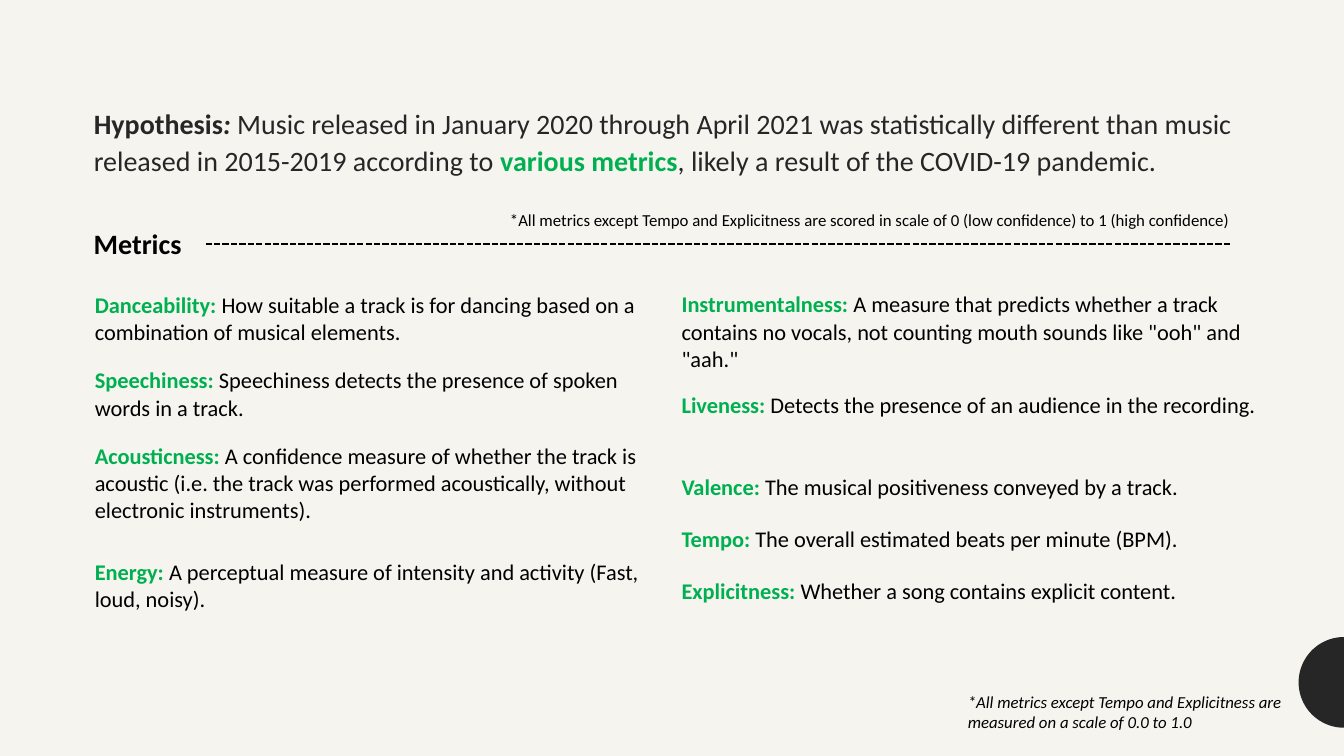
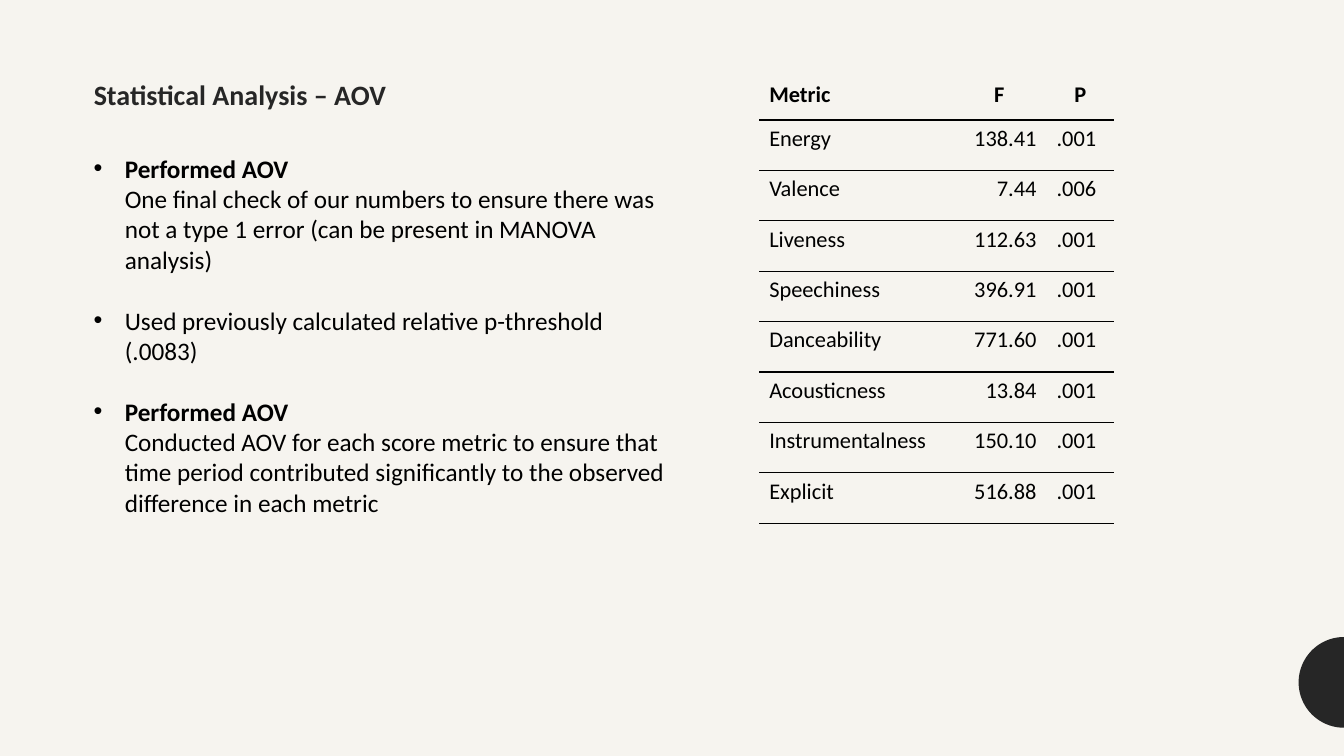
import math
from dataclasses import dataclass
from typing import NamedTuple, Optional, Sequence

from lxml import etree
from pptx import Presentation
from pptx import util as u
from pptx.dml.color import RGBColor
from pptx.enum import dml, text
from pptx.oxml import ns

Inches, Pt = u.Inches, u.Pt
LEFT, CENTER, RIGHT = text.PP_ALIGN.LEFT, text.PP_ALIGN.CENTER, text.PP_ALIGN.RIGHT
TOP, MIDDLE = text.MSO_ANCHOR.TOP, text.MSO_ANCHOR.MIDDLE
PLAIN_TABLE_STYLE = "{2D5ABB26-0587-4C30-8999-92F81FD0307C}"  # no fill, no grid


@dataclass(frozen=True)
class Theme:
    font: str = "Calibri"
    paper: RGBColor = RGBColor(0xF6, 0xF4, 0xEF)
    ink: RGBColor = RGBColor(0, 0, 0)
    charcoal: RGBColor = RGBColor(0x26, 0x26, 0x26)
    green: RGBColor = RGBColor(0x00, 0xB0, 0x50)
    heading: int = 20
    body: int = 18
    table: int = 16
    note: int = 12


THEME = Theme()


class Span(NamedTuple):
    words: str
    bold: Optional[bool] = None
    italic: Optional[bool] = None
    color: Optional[RGBColor] = None


class Box(NamedTuple):
    left: float
    top: float
    width: float
    height: float

    def lengths(self) -> list:
        return [Inches(side) for side in self]


class Metric(NamedTuple):
    name: str
    meaning: str


class MetricColumn(NamedTuple):
    box: Box
    anchor: text.MSO_ANCHOR
    row_heights: Sequence[float]
    metrics: Sequence[Metric]


class Bullet(NamedTuple):
    heading: str
    detail: str


class Result(NamedTuple):
    metric: str
    f: str
    p: str


# Content
HYPOTHESIS = [
    Span("Hypothesis", bold=True),
    Span(": ", bold=True, italic=True),
    Span("Music released in January 2020 through April 2021 was statistically different "
         "than music released in 2015-2019 according to "),
    Span("various metrics", bold=True, color=THEME.green),
    Span(", likely a result of the COVID-19 pandemic."),
]
METRIC_COLUMNS = [
    MetricColumn(Box(0.94, 2.79, 5.5, 3.54), MIDDLE, [0.75, 0.75, 1.02, 1.02], [
        Metric("Danceability", "How suitable a track is for dancing based on a combination "
               "of musical elements."),
        Metric("Speechiness", "Speechiness detects the presence of spoken words in a track."),
        Metric("Acousticness", "A confidence measure of whether the track is acoustic (i.e. the "
               "track was performed acoustically, without electronic instruments)."),
        Metric("Energy", "A perceptual measure of intensity and activity (Fast, loud, noisy)."),
    ]),
    MetricColumn(Box(6.76, 2.79, 5.96, 3.18), TOP, [0.81, 0.81, 0.52, 0.52, 0.52], [
        Metric("Instrumentalness", "A measure that predicts whether a track contains no vocals, "
               'not counting mouth sounds like "ooh" and "aah."'),
        Metric("Liveness", "Detects the presence of an audience in the recording."),
        Metric("Valence", "The musical positiveness conveyed by a track."),
        Metric("Tempo", "The overall estimated beats per minute (BPM)."),
        Metric("Explicitness", "Whether a song contains explicit content."),
    ]),
]
BULLETS = [
    Bullet("Performed AOV", "One final check of our numbers to ensure there was not a type 1 "
           "error (can be present in MANOVA analysis)"),
    Bullet("", "Used previously calculated relative p-threshold (.0083)"),
    Bullet("Performed AOV", "Conducted AOV for each score metric to ensure that time period "
           "contributed significantly to the observed difference in each metric"),
]
RESULTS = [
    Result("Metric", "F", "P"),
    Result("Energy", "138.41", ".001"),
    Result("Valence", "7.44", ".006"),
    Result("Liveness", "112.63", ".001"),
    Result("Speechiness", "396.91", ".001"),
    Result("Danceability", "771.60", ".001"),
    Result("Acousticness", "13.84", ".001"),
    Result("Instrumentalness", "150.10", ".001"),
    Result("Explicit", "516.88", ".001"),
]


# Shared text, table and slide parts
def write(paragraph, spans: Sequence[Span], size: int, color: RGBColor = THEME.ink,
          align=LEFT, bold: bool = False, italic: bool = False) -> None:
    paragraph.alignment = align
    font = paragraph.font
    font.name, font.size, font.bold, font.italic = THEME.font, Pt(size), bold, italic
    font.color.rgb = color
    for span in spans:
        run = paragraph.add_run()
        run.text = span.words
        if span.bold is not None:
            run.font.bold = span.bold
        if span.italic is not None:
            run.font.italic = span.italic
        if span.color is not None:
            run.font.color.rgb = span.color


def add_text_box(slide, box: Box):
    label = slide.shapes.add_textbox(*box.lengths())
    label.text_frame.word_wrap = True
    return label


def add_plain_table(slide, box: Box, row_heights: Sequence[float], col_widths: Sequence[float]):
    table = slide.shapes.add_table(len(row_heights), len(col_widths), *box.lengths()).table
    table.first_row = table.horz_banding = False
    table._tbl.tblPr.find(ns.qn("a:tableStyleId")).text = PLAIN_TABLE_STYLE
    for row, height in zip(table.rows, row_heights):
        row.height = Inches(height)
    for column, width in zip(table.columns, col_widths):
        column.width = Inches(width)
    for cell in table.iter_cells():
        cell.fill.background()
    return table


def rule_below(cell) -> None:
    border = etree.Element(ns.qn("a:lnB"), w=str(Pt(1)))
    fill = etree.SubElement(border, ns.qn("a:solidFill"))
    etree.SubElement(fill, ns.qn("a:srgbClr"), val=str(THEME.ink))
    cell._tc.get_or_add_tcPr().insert(0, border)


def add_edge_disc(slide, right: float = 13.33, middle: float = 6.77, radius: float = 0.45) -> None:
    steps = 48
    angles = [math.pi * (0.5 + step / steps) for step in range(steps + 1)]
    points = [(Inches(right + radius * math.cos(a)), Inches(middle - radius * math.sin(a)))
              for a in angles]
    builder = slide.shapes.build_freeform(*points[0])
    builder.add_line_segments(points[1:], close=True)
    disc = builder.convert_to_shape()
    disc.shadow.inherit = False
    disc.fill.solid()
    disc.fill.fore_color.rgb = THEME.charcoal
    disc.line.fill.background()


def add_titled_slide(prs, spans: Sequence[Span], box: Box, anchor):
    slide = prs.slides.add_slide(prs.slide_layouts[5])
    add_edge_disc(slide)
    title = slide.shapes.title
    title.left, title.top, title.width, title.height = box.lengths()
    frame = title.text_frame
    frame.auto_size = text.MSO_AUTO_SIZE.NONE
    frame.word_wrap = True
    frame.vertical_anchor = anchor
    heading = frame.paragraphs[0]
    heading.line_spacing = 1.1
    write(heading, spans, THEME.heading, THEME.charcoal)
    return slide


# Slide 1: hypothesis and metrics
def add_metric_column(slide, column: MetricColumn) -> None:
    table = add_plain_table(slide, column.box, column.row_heights, [column.box.width])
    for cell, metric in zip(table.iter_cells(), column.metrics):
        cell.margin_left = 0
        cell.margin_right = cell.margin_top = cell.margin_bottom = Inches(0.1)
        cell.vertical_anchor = column.anchor
        write(cell.text_frame.paragraphs[0],
              [Span(f"{metric.name}: ", bold=True, color=THEME.green), Span(metric.meaning)],
              THEME.table)


def build_hypothesis(prs) -> None:
    slide = add_titled_slide(prs, HYPOTHESIS, Box(0.83, 0.8, 11.67, 1.18), MIDDLE)

    # Section heading with its dashed rule
    metrics_heading = add_text_box(slide, Box(0.83, 2.2, 1.21, 0.44))
    write(metrics_heading.text_frame.paragraphs[0], [Span("Metrics")], THEME.heading, bold=True)
    rule = slide.shapes.add_connector(1, Inches(2.04), Inches(2.42), Inches(12.2), Inches(2.42))
    rule.begin_connect(metrics_heading, 3)
    rule.line.color.rgb = THEME.ink
    rule.line.width = Pt(1.5)
    rule.line.dash_style = dml.MSO_LINE.SQUARE_DOT
    etree.SubElement(rule._element.spPr, ns.qn("a:effectLst"))

    # Notes on the scale
    scale_note = add_text_box(slide, Box(2.56, 2.03, 9.74, 0.3))
    write(scale_note.text_frame.paragraphs[0],
          [Span("*All metrics except Tempo and Explicitness are scored in scale of "
                "0 (low confidence) to 1 (high confidence)")], THEME.note, align=RIGHT)
    footnote = add_text_box(slide, Box(9.5, 6.81, 3.52, 0.5))
    write(footnote.text_frame.paragraphs[0],
          [Span("*All metrics except Tempo and Explicitness are measured on a scale of "
                "0.0 to 1.0")], THEME.note, italic=True)

    for column in METRIC_COLUMNS:
        add_metric_column(slide, column)


# Slide 2: analysis of variance
def add_bullets(slide, box: Box, bullets: Sequence[Bullet], indent: float = 0.31) -> None:
    frame = add_text_box(slide, box).text_frame
    for index, bullet in enumerate(bullets):
        paragraph = frame.add_paragraph() if index else frame.paragraphs[0]
        props = paragraph._p.get_or_add_pPr()
        props.set("marL", str(Inches(indent)))
        props.set("indent", str(-Inches(indent)))
        etree.SubElement(props, ns.qn("a:buFont"), typeface="Arial")
        etree.SubElement(props, ns.qn("a:buChar"), char="•")
        paragraph.space_before = Pt(22 if index else 0)
        if bullet.heading:
            write(paragraph, [Span(bullet.heading, bold=True)], THEME.body)
            paragraph.add_line_break()
        write(paragraph, [Span(bullet.detail)], THEME.body)


def add_results(slide, box: Box, results: Sequence[Result]) -> None:
    table = add_plain_table(slide, box, [0.5] * len(results), [1.91, 0.94, 0.67])
    for r, result in enumerate(results):
        is_header = r == 0
        aligns = (LEFT, CENTER, CENTER) if is_header else (LEFT, RIGHT, LEFT)
        for c, (value, align) in enumerate(zip(result, aligns)):
            cell = table.cell(r, c)
            cell.vertical_anchor = MIDDLE if is_header else TOP
            rule_below(cell)
            write(cell.text_frame.paragraphs[0], [Span(value)], THEME.table,
                  align=align, bold=is_header)


def build_analysis(prs) -> None:
    slide = add_titled_slide(prs, [Span("Statistical Analysis – AOV", bold=True)],
                             Box(0.83, 0.69, 6, 0.46), TOP)
    add_bullets(slide, Box(0.83, 1.47, 6, 4.04), BULLETS)
    add_results(slide, Box(7.53, 0.69, 3.52, 4.5), RESULTS)


def main() -> None:
    prs = Presentation()
    prs.slide_width, prs.slide_height = Inches(13.33), Inches(7.5)
    paper = prs.slide_master.background.fill
    paper.solid()
    paper.fore_color.rgb = THEME.paper
    build_hypothesis(prs)
    build_analysis(prs)
    prs.save("out.pptx")


if __name__ == "__main__":
    main()
